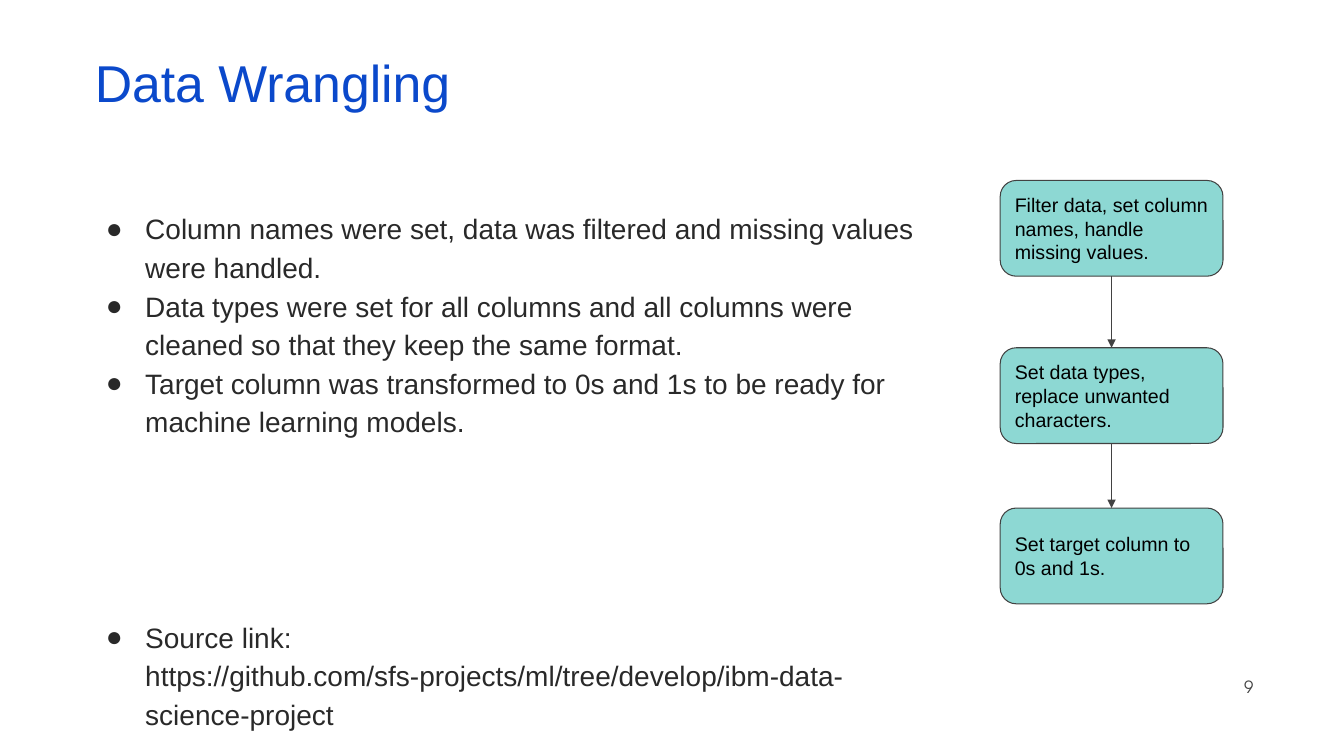
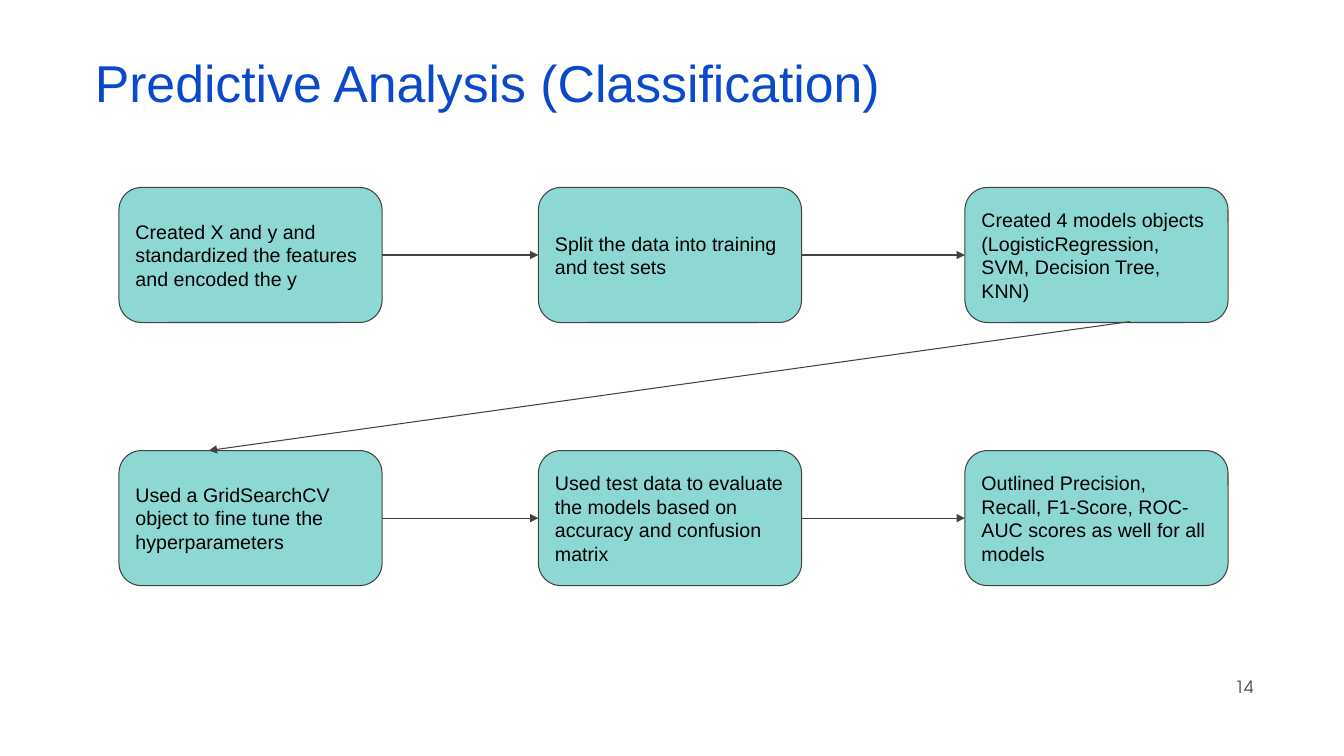
"""Build two slides on data wrangling and predictive analysis."""
from dataclasses import dataclass

from lxml import etree
from pptx import Presentation
from pptx.dml.color import RGBColor
from pptx.enum.shapes import MSO_CONNECTOR, MSO_SHAPE
from pptx.enum.text import MSO_ANCHOR, MSO_AUTO_SIZE, PP_ALIGN
from pptx.oxml.ns import qn
from pptx.util import Inches, Pt

ROUNDED = MSO_SHAPE.ROUNDED_RECTANGLE
STRAIGHT = MSO_CONNECTOR.STRAIGHT
MIDDLE, TOP = MSO_ANCHOR.MIDDLE, MSO_ANCHOR.TOP
LEFT, RIGHT = PP_ALIGN.LEFT, PP_ALIGN.RIGHT
NO_FIT = MSO_AUTO_SIZE.NONE
TITLE_AND_CONTENT, TITLE_ONLY = 1, 5
SITE_TOP, SITE_LEFT, SITE_BOTTOM, SITE_RIGHT = range(4)

COLORS = {
    "title": "0B49CB",
    "body": "292929",
    "box": "8DD8D3",
    "line": "424242",
    "label": "000000",
}
FONT = "Arial"
NUMBER_FONT = "TeX Gyre Adventor"


@dataclass(frozen=True)
class Box:
    text: str
    left: float
    top: float
    width: float
    height: float


@dataclass(frozen=True)
class Bullet:
    text: str
    before: float = 0


BULLETS = [
    Bullet("Column names were set, data was filtered and missing values were handled."),
    Bullet("Data types were set for all columns and all columns were cleaned "
           "so that they keep the same format."),
    Bullet("Target column was transformed to 0s and 1s to be ready for "
           "machine learning models."),
    Bullet("Source link: https://github.com/sfs-projects/ml/tree/develop/"
           "ibm-data-science-project", 126),
]
WRANGLING_TOPS = (1.79, 3.45, 5.04)
WRANGLING_STEPS = (
    "Filter data, set column names, handle missing values.",
    "Set data types, replace unwanted characters.",
    "Set target column to 0s and 1s.",
)
ANALYSIS_LEFTS = (1.18, 5.34, 9.57)
ANALYSIS_ROWS = {
    1.86: (
        "Created X and y and standardized the features and encoded the y",
        "Split the data into training and test sets",
        "Created 4 models objects (LogisticRegression, SVM, Decision Tree, KNN)",
    ),
    4.47: (
        "Used a GridSearchCV object to fine tune the hyperparameters",
        "Used test data to evaluate the models based on accuracy and confusion matrix",
        "Outlined Precision, Recall, F1-Score, ROC-AUC scores as well for all models",
    ),
}


def rgb(name: str) -> RGBColor:
    return RGBColor.from_string(COLORS[name])


def place(sp, left: float, top: float, width: float, height: float) -> None:
    sp.left, sp.top = Inches(left), Inches(top)
    sp.width, sp.height = Inches(width), Inches(height)


def setup_frame(tf, anchor, margin: float = 0.05) -> None:
    tf.word_wrap = True
    tf.auto_size = NO_FIT
    tf.vertical_anchor = anchor
    tf.margin_left = tf.margin_right = Inches(0.1)
    tf.margin_top = tf.margin_bottom = Inches(margin)


def style(p, size: float, color: str, font: str = FONT, align=LEFT) -> None:
    p.alignment = align
    for r in p.runs:
        r.font.size = Pt(size)
        r.font.name = font
        r.font.color.rgb = rgb(color)


def add_slide(prs, layout: int, title: str, number: int):
    slide = prs.slides.add_slide(prs.slide_layouts[layout])
    sp = slide.shapes.title
    place(sp, 0.84, 0.59, 11.5, 0.6)
    setup_frame(sp.text_frame, MIDDLE)
    sp.text_frame.text = title
    p = sp.text_frame.paragraphs[0]
    p.line_spacing = 0.7
    style(p, 37, "title")

    sp = slide.shapes.add_textbox(Inches(9.53), Inches(6.59), Inches(3), Inches(0.44))
    setup_frame(sp.text_frame, MIDDLE)
    sp.text_frame.text = str(number)
    style(sp.text_frame.paragraphs[0], 12, "line", NUMBER_FONT, RIGHT)
    return slide


def set_bullet(p, color: str) -> None:
    pPr = p._p.get_or_add_pPr()
    pPr.set("marL", str(Inches(0.5)))
    pPr.set("indent", str(Inches(-0.39)))
    clr = etree.SubElement(pPr, qn("a:buClr"))
    etree.SubElement(clr, qn("a:srgbClr"), val=COLORS[color])
    etree.SubElement(pPr, qn("a:buFont"), typeface=FONT)
    etree.SubElement(pPr, qn("a:buChar"), char="●")


def fill_body(sp, bullets: list[Bullet]) -> None:
    place(sp, 0.84, 2, 8.41, 5.31)
    tf = sp.text_frame
    setup_frame(tf, TOP)
    tf.text = "\n".join(b.text for b in bullets)
    for p, bullet in zip(tf.paragraphs, bullets):
        set_bullet(p, "body")
        p.line_spacing = 1.15
        p.space_before = Pt(bullet.before)
        style(p, 20, "body")


def add_box(slide, box: Box):
    sp = slide.shapes.add_shape(ROUNDED, Inches(box.left), Inches(box.top),
                                Inches(box.width), Inches(box.height))
    sp.shadow.inherit = False
    sp.fill.solid()
    sp.fill.fore_color.rgb = rgb("box")
    sp.line.color.rgb = rgb("line")
    sp.line.width = Pt(0.75)
    setup_frame(sp.text_frame, MIDDLE, 0.1)
    sp.text_frame.text = box.text
    style(sp.text_frame.paragraphs[0], 14, "label")
    return sp


def add_arrow(slide, x1: float = 0, y1: float = 0, x2: float = 0, y2: float = 0):
    line = slide.shapes.add_connector(STRAIGHT, Inches(x1), Inches(y1),
                                      Inches(x2), Inches(y2))
    line.line.color.rgb = rgb("line")
    line.line.width = Pt(0.75)
    etree.SubElement(line.line._get_or_add_ln(), qn("a:tailEnd"), type="triangle")
    etree.SubElement(line._element.spPr, qn("a:effectLst"))
    return line


def add_chain(slide, boxes: list[Box], exit_site: int, entry_site: int) -> None:
    shapes = [add_box(slide, box) for box in boxes]
    for start, end in zip(shapes, shapes[1:]):
        line = add_arrow(slide)
        line.begin_connect(start, exit_site)
        line.end_connect(end, entry_site)


def build_wrangling(prs) -> None:
    slide = add_slide(prs, TITLE_AND_CONTENT, "Data Wrangling", 9)
    fill_body(slide.placeholders[1], BULLETS)
    boxes = [Box(text, 9.92, top, 2.21, 0.95)
             for text, top in zip(WRANGLING_STEPS, WRANGLING_TOPS)]
    add_chain(slide, boxes, SITE_BOTTOM, SITE_TOP)


def build_analysis(prs) -> None:
    slide = add_slide(prs, TITLE_ONLY, "Predictive Analysis (Classification)", 14)
    for top, texts in ANALYSIS_ROWS.items():
        boxes = [Box(text, left, top, 2.61, 1.34)
                 for text, left in zip(texts, ANALYSIS_LEFTS)]
        add_chain(slide, boxes, SITE_RIGHT, SITE_LEFT)
    add_arrow(slide, 11.21, 3.19, 2.07, 4.47)


def main() -> None:
    prs = Presentation()
    prs.slide_width, prs.slide_height = Inches(13.33), Inches(7.5)
    build_wrangling(prs)
    build_analysis(prs)
    prs.save("out.pptx")


if __name__ == "__main__":
    main()
